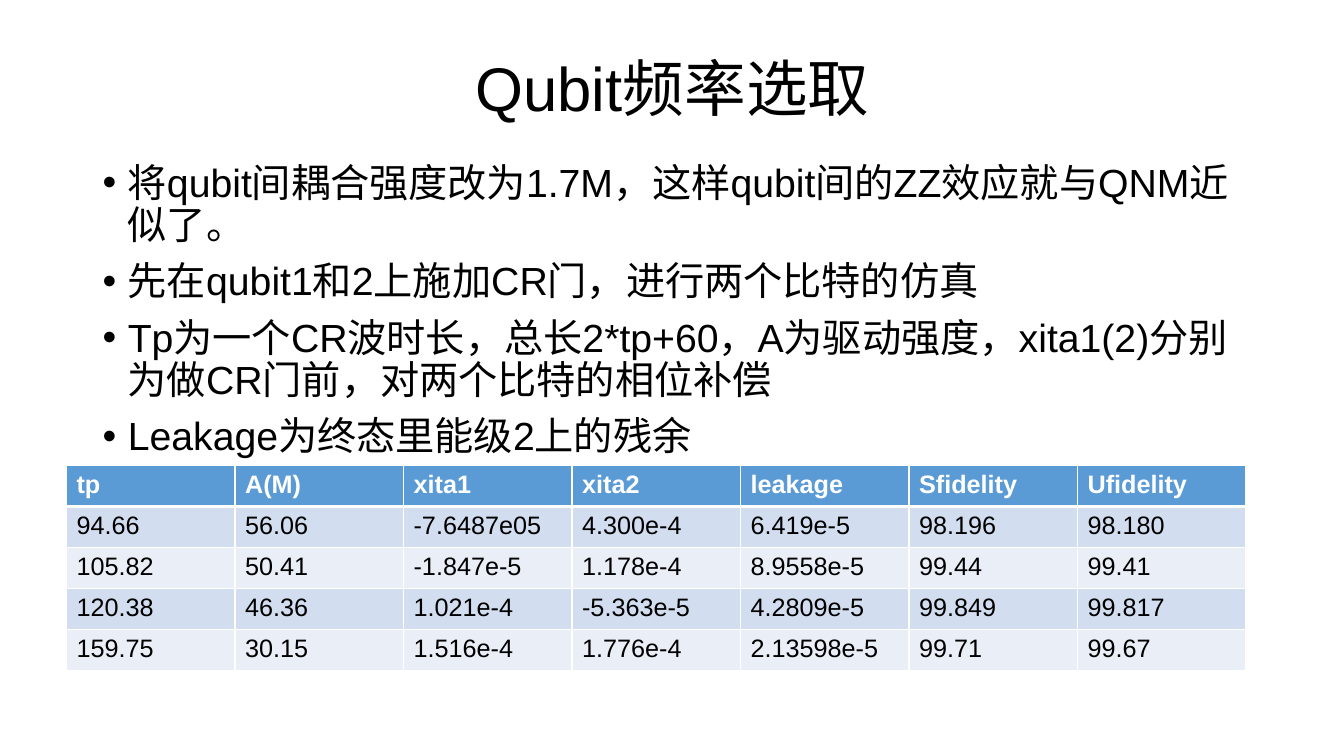
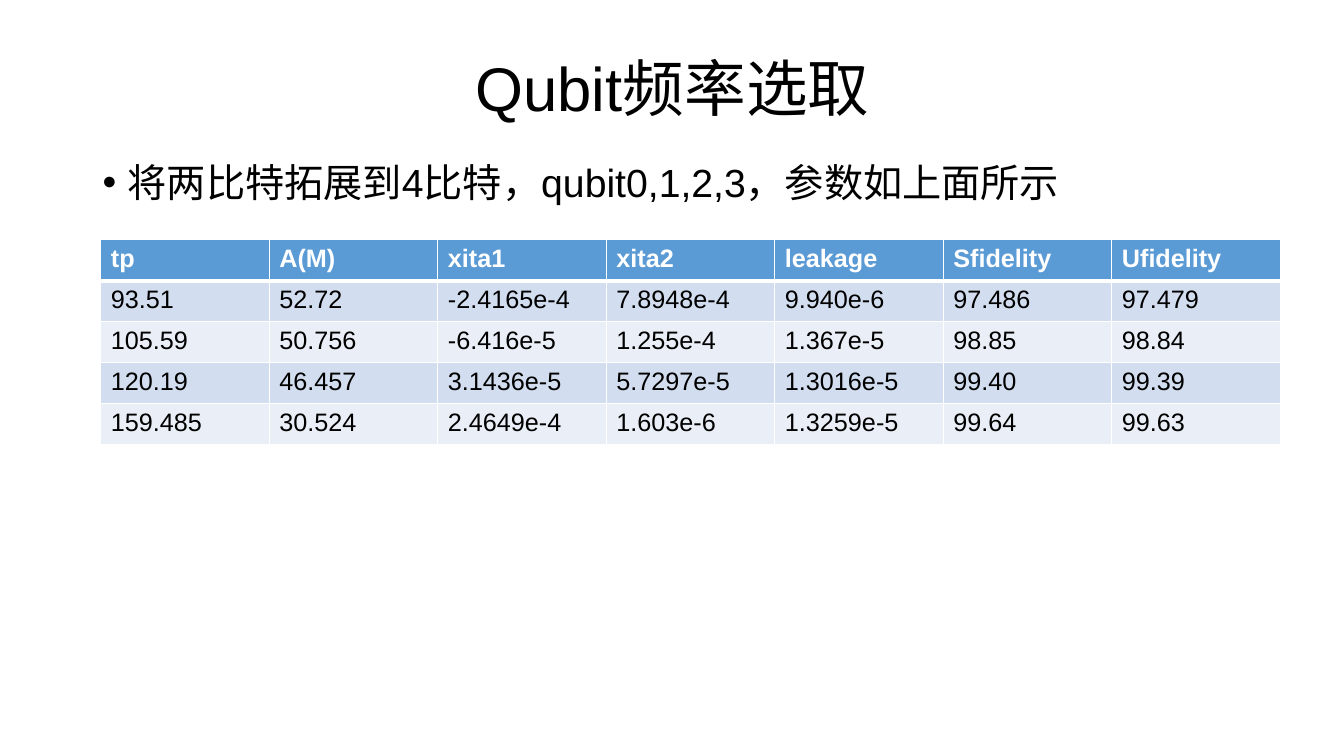
import pptx
import pptx.dml.color
import pptx.enum.text
import pptx.oxml
import pptx.oxml.ns
import pptx.util
from pptx.util import Inches

RGBColor = pptx.dml.color.RGBColor
BLACK = RGBColor(0x00, 0x00, 0x00)
WHITE = RGBColor(0xFF, 0xFF, 0xFF)
HEADER_BLUE = RGBColor(0x5B, 0x9B, 0xD5)
BAND_COLORS = [RGBColor(0xD2, 0xDE, 0xEF), RGBColor(0xEA, 0xEF, 0xF7)]

FONT_NAME = "Arial"
TITLE = "Qubit频率选取"
TEXT_LEFT, TEXT_WIDTH = Inches(0.92), Inches(11.5)
TABLE_WIDTH, TABLE_HEIGHT = Inches(11.7), Inches(2.03)
TITLE_ONLY = 5
INDENT = Inches(0.25)

COLUMNS = ["tp", "A(M)", "xita1", "xita2", "leakage", "Sfidelity", "Ufidelity"]

SLIDES = [
    {
        "points": [
            "将qubit间耦合强度改为1.7M，这样qubit间的ZZ效应就与QNM近似了。",
            "先在qubit1和2上施加CR门，进行两个比特的仿真",
            "Tp为一个CR波时长，总长2*tp+60，A为驱动强度，xita1(2)分别为做CR门前，对两个比特的相位补偿",
            "Leakage为终态里能级2上的残余",
        ],
        "points_height": 3.05,
        "table_at": (0.66, 4.62),
        "results": [
            ["94.66", "56.06", "-7.6487e05", "4.300e-4", "6.419e-5", "98.196", "98.180"],
            ["105.82", "50.41", "-1.847e-5", "1.178e-4", "8.9558e-5", "99.44", "99.41"],
            ["120.38", "46.36", "1.021e-4", "-5.363e-5", "4.2809e-5", "99.849", "99.817"],
            ["159.75", "30.15", "1.516e-4", "1.776e-4", "2.13598e-5", "99.71", "99.67"],
        ],
    },
    {
        "points": ["将两比特拓展到4比特，qubit0,1,2,3，参数如上面所示"],
        "points_height": 0.6,
        "table_at": (1, 2.38),
        "results": [
            ["93.51", "52.72", "-2.4165e-4", "7.8948e-4", "9.940e-6", "97.486", "97.479"],
            ["105.59", "50.756", "-6.416e-5", "1.255e-4", "1.367e-5", "98.85", "98.84"],
            ["120.19", "46.457", "3.1436e-5", "5.7297e-5", "1.3016e-5", "99.40", "99.39"],
            ["159.485", "30.524", "2.4649e-4", "1.603e-6", "1.3259e-5", "99.64", "99.63"],
        ],
    },
]


def set_all(target, values):
    for name, value in values.items():
        setattr(target, name, value)


def format_font(paragraph, size, color=BLACK, bold=False):
    set_all(paragraph.font, {"name": FONT_NAME, "size": pptx.util.Pt(size), "bold": bold})
    paragraph.font.color.rgb = color


def add_title(slide):
    title = slide.shapes.title
    set_all(title, {"left": TEXT_LEFT, "top": Inches(0.4),
                    "width": TEXT_WIDTH, "height": Inches(1.01)})
    title.text_frame.text = TITLE
    title.text_frame.vertical_anchor = pptx.enum.text.MSO_ANCHOR.MIDDLE
    paragraph = title.text_frame.paragraphs[0]
    set_all(paragraph, {"alignment": pptx.enum.text.PP_ALIGN.CENTER, "line_spacing": 0.9})
    format_font(paragraph, 44)


def add_bullet(paragraph):
    properties = paragraph._p.get_or_add_pPr()
    properties.set("marL", str(INDENT))
    properties.set("indent", str(-INDENT))
    namespace = pptx.oxml.ns.nsdecls("a")
    for tag in (f'<a:buFont {namespace} typeface="{FONT_NAME}"/>',
                f'<a:buChar {namespace} char="•"/>'):
        properties.append(pptx.oxml.parse_xml(tag))


def add_points(slide, points, height):
    frame = slide.shapes.add_textbox(
        TEXT_LEFT, Inches(1.57), TEXT_WIDTH, Inches(height)).text_frame
    frame.word_wrap = True
    for index, point in enumerate(points):
        paragraph = frame.add_paragraph() if index else frame.paragraphs[0]
        paragraph.text = point
        add_bullet(paragraph)
        set_all(paragraph, {"line_spacing": 0.9,
                            "space_before": pptx.util.Pt(10 if index else 0)})
        format_font(paragraph, 28)


def add_borders(cell, widths):
    """Draw white borders; widths maps a side (L, R, T, B) to points."""
    properties = cell._tc.get_or_add_tcPr()
    for side, width in widths.items():
        properties.append(pptx.oxml.parse_xml(
            f'<a:ln{side} {pptx.oxml.ns.nsdecls("a")} w="{pptx.util.Pt(width)}">'
            f'<a:solidFill><a:srgbClr val="{WHITE}"/></a:solidFill></a:ln{side}>'))


def add_results_table(slide, position, results):
    rows = [COLUMNS] + results
    left, top = map(Inches, position)
    table = slide.shapes.add_table(
        len(rows), len(COLUMNS), left, top, TABLE_WIDTH, TABLE_HEIGHT).table
    for row, values in enumerate(rows):
        is_header = row == 0
        fill = HEADER_BLUE if is_header else BAND_COLORS[(row - 1) % 2]
        borders = {"L": 1, "R": 1, "T": 3 if row == 1 else 1, "B": 3 if is_header else 1}
        for column, value in enumerate(values):
            cell = table.cell(row, column)
            cell.text = value
            format_font(cell.text_frame.paragraphs[0], 18,
                        WHITE if is_header else BLACK, is_header)
            add_borders(cell, borders)
            cell.fill.solid()
            cell.fill.fore_color.rgb = fill


def main():
    presentation = pptx.Presentation()
    set_all(presentation, {"slide_width": Inches(13.33), "slide_height": Inches(7.5)})
    for content in SLIDES:
        slide = presentation.slides.add_slide(presentation.slide_layouts[TITLE_ONLY])
        add_title(slide)
        add_points(slide, content["points"], content["points_height"])
        add_results_table(slide, content["table_at"], content["results"])
    presentation.save("out.pptx")


if __name__ == "__main__":
    main()
